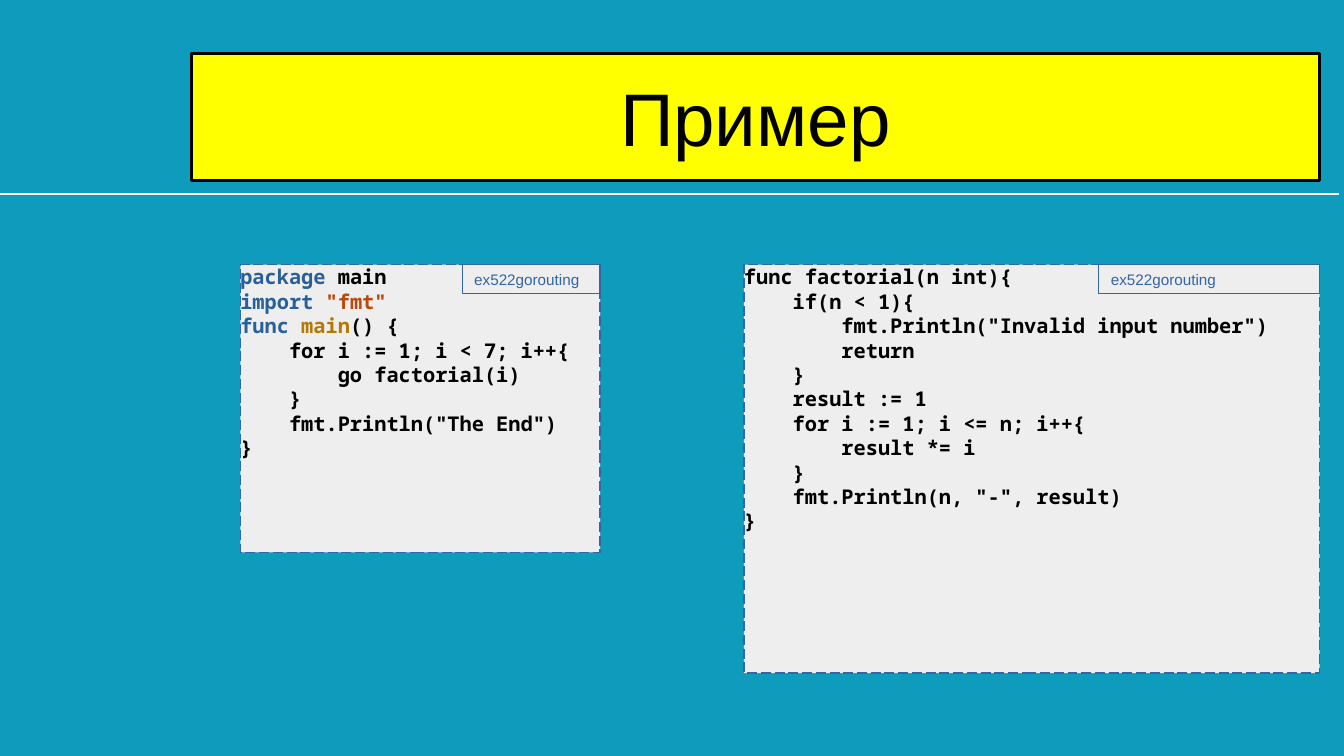
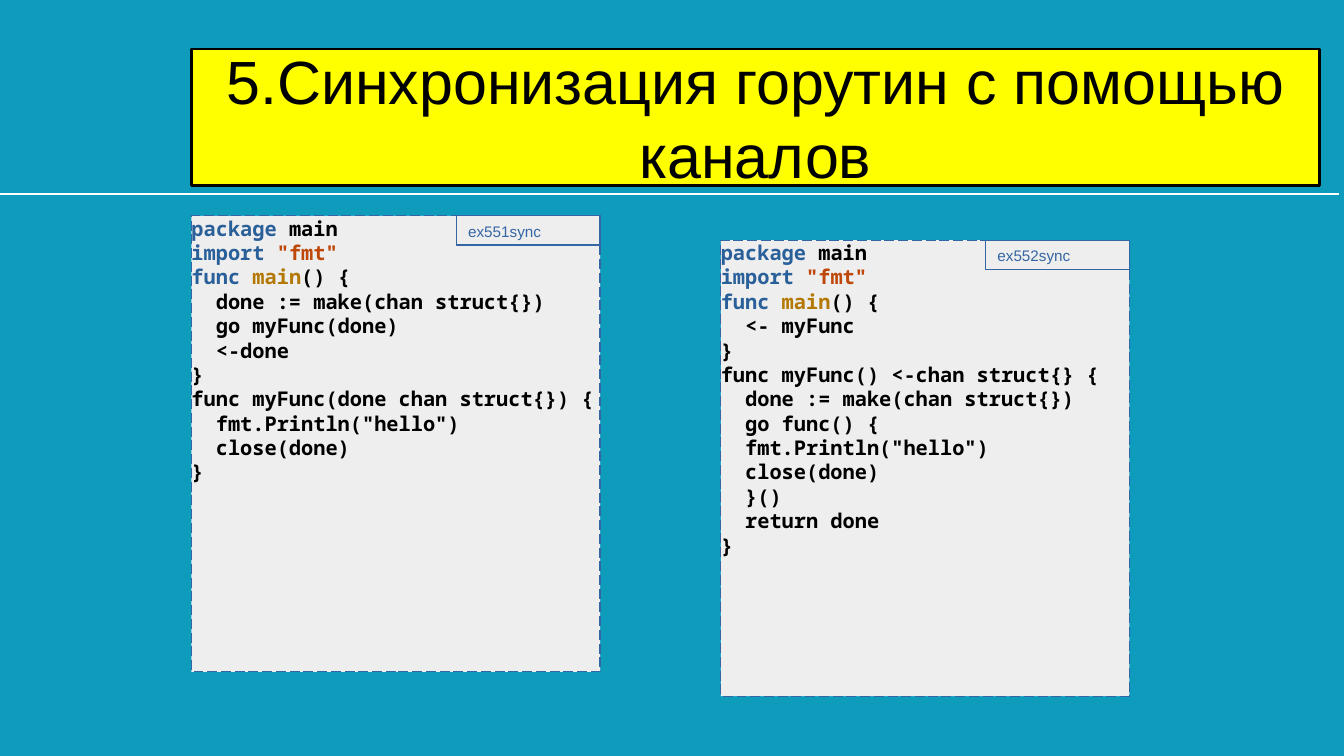
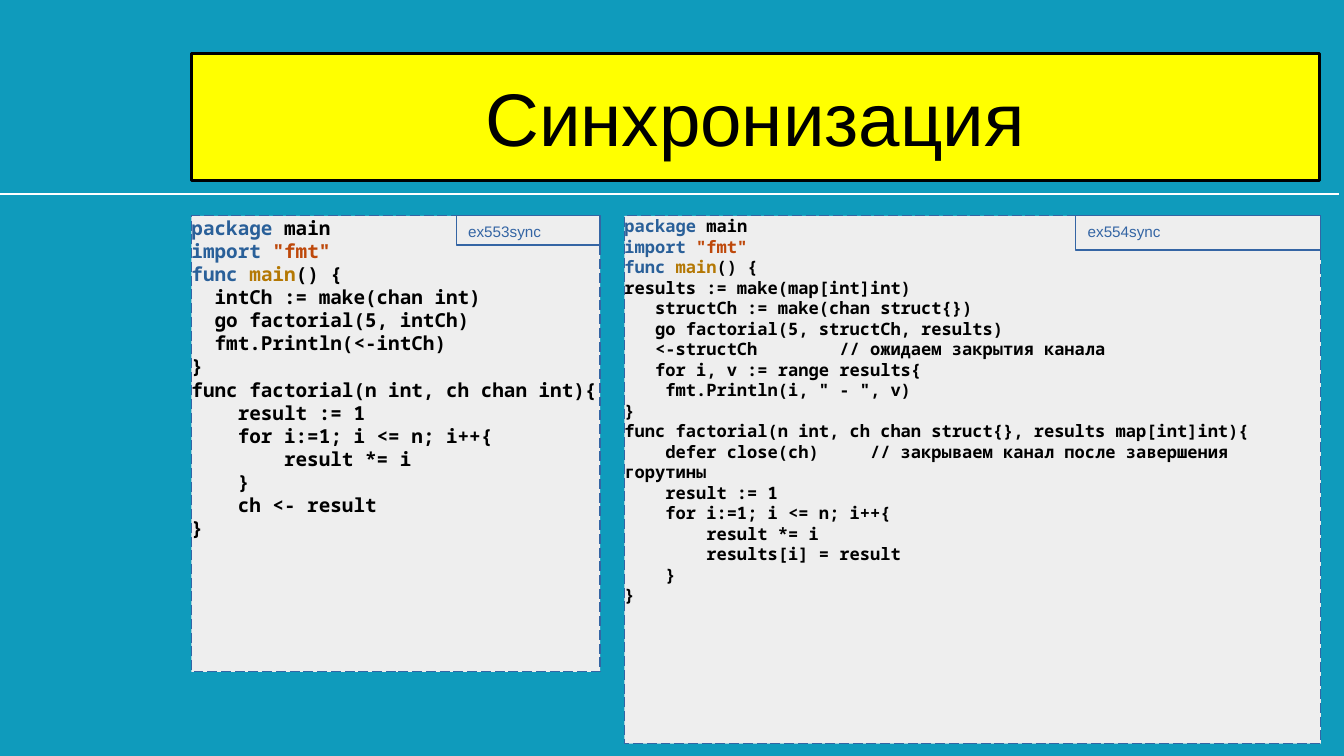
from pptx import Presentation
from pptx.dml.color import RGBColor
from pptx.enum.dml import MSO_LINE
from pptx.enum.shapes import MSO_CONNECTOR, MSO_SHAPE
from pptx.enum.text import MSO_ANCHOR, MSO_AUTO_SIZE, PP_ALIGN
from pptx.oxml.ns import qn
from pptx.util import Inches, Pt
from lxml import etree

LONG_DASH = MSO_LINE.LONG_DASH
STRAIGHT = MSO_CONNECTOR.STRAIGHT
RECT = MSO_SHAPE.RECTANGLE
TOP, MIDDLE = MSO_ANCHOR.TOP, MSO_ANCHOR.MIDDLE
NO_AUTOFIT = MSO_AUTO_SIZE.NONE
LEFT, CENTER = PP_ALIGN.LEFT, PP_ALIGN.CENTER
TITLE_ONLY = 5

# Shared look
BACKGROUND, RULE, BLACK = "0F9BBC", "FFFFFF", "000000"
TITLE_FILL, PANEL_FILL, BORDER = "FFFF00", "EEEEEE", "3465A4"
KEYWORD, STRING, FUNCTION = "2A6099", "BE480A", "B47804"
TITLE_FONT = {"name": "Arial", "size": Pt(44), "bold": False}
TAG_FONT = {"name": "Arial", "size": Pt(9), "bold": False}
CODE_FONT = {"name": "Noto Sans Mono", "size": Pt(12), "bold": True}
TITLE_MIDDLE = 0.96

# Opening lines of the programs, as (text, colour) runs
PROGRAM_START = [
    [("package", KEYWORD), (" main", BLACK)],
    [("import ", KEYWORD), ('"fmt"', STRING)],
    [("func ", KEYWORD), ("main", FUNCTION), ("() {", BLACK)],
]

GOROUTINE_MAIN = """\
    for i := 1; i < 7; i++{
        go factorial(i)
    }
    fmt.Println("The End")
}"""

FACTORIAL = """\
func factorial(n int){
    if(n < 1){
        fmt.Println("Invalid input number")
        return
    }
    result := 1
    for i := 1; i <= n; i++{
        result *= i
    }
    fmt.Println(n, "-", result)
}"""

DONE_ARGUMENT = """\
  done := make(chan struct{})
  go myFunc(done)
  <-done
}
func myFunc(done chan struct{}) {
  fmt.Println("hello")
  close(done)
}"""

DONE_RETURNED = """\
  <- myFunc
}
func myFunc() <-chan struct{} {
  done := make(chan struct{})
  go func() {
  fmt.Println("hello")
  close(done)
  }()
  return done
}"""

INT_CHANNEL = """\
  intCh := make(chan int)
  go factorial(5, intCh)
  fmt.Println(<-intCh)
}
func factorial(n int, ch chan int){
    result := 1
    for i:=1; i <= n; i++{
        result *= i
    }
    ch <- result
}"""

STRUCT_CHANNEL = """\
results := make(map[int]int)
   structCh := make(chan struct{})
   go factorial(5, structCh, results)
   <-structCh        // ожидаем закрытия канала
   for i, v := range results{
    fmt.Println(i, " - ", v)
}
func factorial(n int, ch chan struct{}, results map[int]int){
    defer close(ch)     // закрываем канал после завершения горутины
    result := 1
    for i:=1; i <= n; i++{
        result *= i
        results[i] = result
    }
}"""


def rgb(color):
    return RGBColor.from_string(color)


def code_lines(text):
    return [[(line, BLACK)] for line in text.splitlines()]


def style_box(sp, fill, line, width=0, dash=None):
    if fill:
        sp.fill.solid()
        sp.fill.fore_color.rgb = rgb(fill)
    else:
        sp.fill.background()
    sp.line.color.rgb = rgb(line)
    sp.line.width = Pt(width)
    if dash:
        sp.line.dash_style = dash


def write(sp, lines, font, align=LEFT, anchor=TOP, inset=(0, 0)):
    """Fill a shape with lines, each a list of (text, colour) runs."""
    tf = sp.text_frame
    across, down = (Inches(v) for v in inset)
    frame = {"word_wrap": True, "auto_size": NO_AUTOFIT, "vertical_anchor": anchor,
             "margin_left": across, "margin_right": across,
             "margin_top": down, "margin_bottom": down}
    for name, value in frame.items():
        setattr(tf, name, value)
    for i, runs in enumerate(lines):
        p = tf.add_paragraph() if i else tf.paragraphs[0]
        p.alignment = align
        for text, color in runs:
            r = p.add_run()
            r.text = text
            for name, value in font.items():
                setattr(r.font, name, value)
            r.font.color.rgb = rgb(color)


def add_rect(shapes, left, top, width, height):
    sp = shapes.add_shape(RECT, Inches(left), Inches(top), Inches(width), Inches(height))
    sp.shadow.inherit = False
    return sp


def add_master_rule(prs, slide):
    """Draw the line under the titles and move it to the master."""
    y = Inches(1.59)
    rule = slide.shapes.add_connector(STRAIGHT, 0, y, Inches(10.98), y)
    rule.line.color.rgb = rgb(RULE)
    rule.line.width = Pt(1.5)
    etree.SubElement(rule._element.spPr, qn("a:effectLst"))
    prs.slide_master.shapes._spTree.append(rule._element)


def add_title_slide(prs, title, size=44, height=1.04):
    slide = prs.slides.add_slide(prs.slide_layouts[TITLE_ONLY])
    sp = slide.shapes.title
    sp.left, sp.top = Inches(1.57), Inches(TITLE_MIDDLE - height / 2)
    sp.width, sp.height = Inches(9.25), Inches(height)
    style_box(sp, TITLE_FILL, BLACK, 1.5)
    write(sp, [[(title, BLACK)]], {**TITLE_FONT, "size": Pt(size)}, CENTER, MIDDLE)
    return slide


def add_code_panel(slide, box, lines, tag, tag_width, tag_height=0.24, size=12):
    """Code on a dashed panel, with its file tag in the top right corner."""
    left, top, width, _ = box
    group = slide.shapes.add_group_shape()
    panel = add_rect(group.shapes, *box)
    style_box(panel, PANEL_FILL, BORDER, dash=LONG_DASH)
    write(panel, lines, {**CODE_FONT, "size": Pt(size)})
    label = add_rect(group.shapes, left + width - tag_width, top, tag_width, tag_height)
    style_box(label, None, BORDER)
    write(label, [[(tag, BORDER)]], TAG_FONT, inset=(0.1, 0.05))


def main():
    prs = Presentation()
    prs.slide_width, prs.slide_height = Inches(11.02), Inches(6.2)
    fill = prs.slide_master.background.fill
    fill.solid()
    fill.fore_color.rgb = rgb(BACKGROUND)

    # Goroutine example
    slide = add_title_slide(prs, "Пример")
    add_master_rule(prs, slide)
    add_code_panel(slide, (1.97, 2.17, 2.95, 2.36),
                   PROGRAM_START + code_lines(GOROUTINE_MAIN), "ex522gorouting", 1.13)
    add_code_panel(slide, (6.1, 2.17, 4.72, 3.35),
                   code_lines(FACTORIAL), "ex522gorouting", 1.81)

    # Synchronisation through a closed channel
    slide = add_title_slide(prs, "5.Синхронизация горутин с помощью каналов", 36, 1.12)
    add_code_panel(slide, (1.57, 1.77, 3.35, 3.74),
                   PROGRAM_START + code_lines(DONE_ARGUMENT), "ex551sync", 1.18)
    add_code_panel(slide, (5.91, 1.97, 3.35, 3.74),
                   PROGRAM_START + code_lines(DONE_RETURNED), "ex552sync", 1.18)

    # Passing results between goroutines
    slide = add_title_slide(prs, "Синхронизация")
    add_code_panel(slide, (1.57, 1.77, 3.35, 3.74),
                   PROGRAM_START + code_lines(INT_CHANNEL), "ex553sync", 1.18, size=11.4)
    add_code_panel(slide, (5.12, 1.77, 5.71, 4.33),
                   PROGRAM_START + code_lines(STRUCT_CHANNEL), "ex554sync", 2.01, 0.28, 10.1)

    prs.save("out.pptx")


main()
